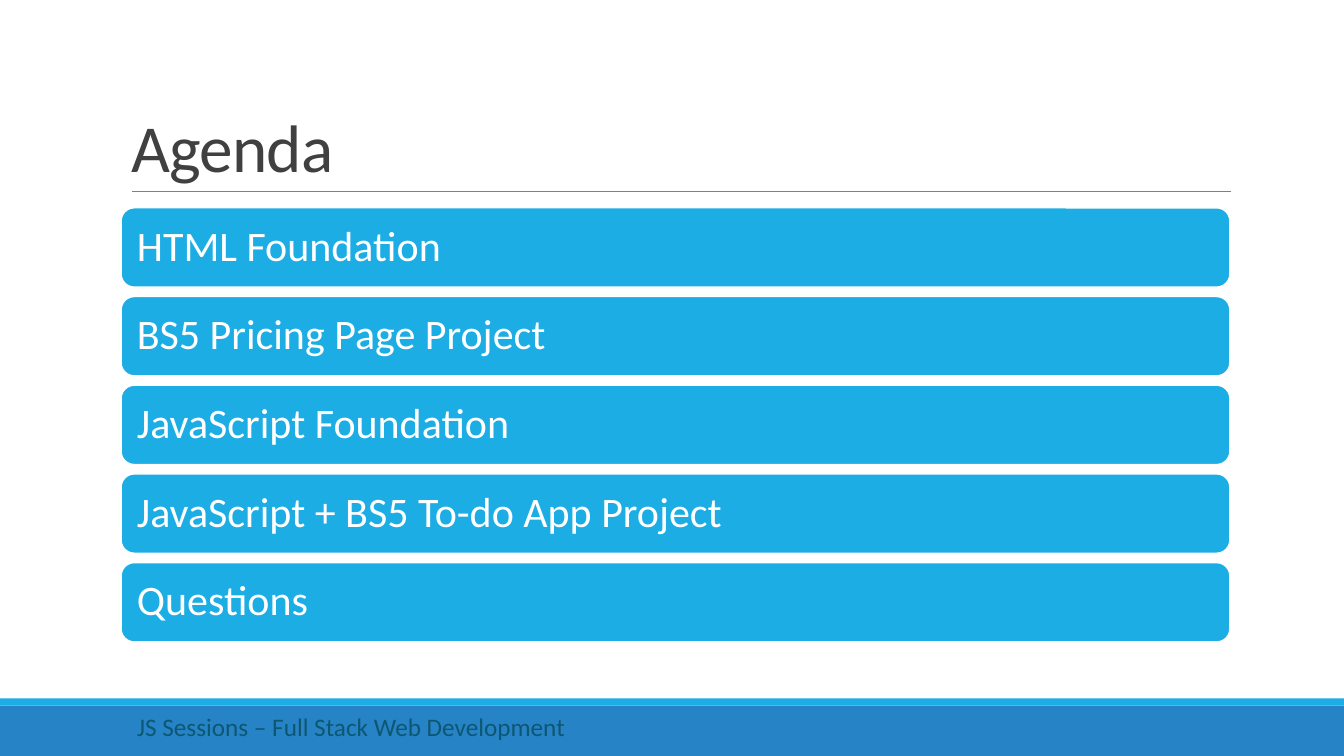
from dataclasses import dataclass

from lxml.etree import SubElement
from pptx import Presentation
from pptx.dml.color import RGBColor
from pptx.enum.shapes import MSO_CONNECTOR as Connector, MSO_SHAPE as Preset
from pptx.enum.text import MSO_ANCHOR as Anchor, PP_ALIGN as Align
from pptx.oxml.ns import qn
from pptx.util import Inches, Pt


@dataclass(frozen=True)
class Theme:
    font: str = "Calibri"
    bar: str = "1CADE4"
    footer: str = "2683C6"
    footer_text: str = "0E5772"
    title_text: str = "404040"
    rule: str = "808080"
    white: str = "FFFFFF"
    title_size: int = 48
    topic_size: int = 30
    footer_size: int = 18


THEME = Theme()
TOPICS = [
    "HTML Foundation",
    "BS5 Pricing Page Project",
    "JavaScript Foundation",
    "JavaScript + BS5 To-do App Project",
    "Questions",
]
LEFT, WIDTH = 1.2, 11
FIRST_TOP, BAR_HEIGHT, PITCH = 2.06, 0.79, 0.88


def color(value):
    return RGBColor.from_string(value)


def add_span(frame, text, size, tint, spacing=None):
    """Write one left-aligned run into the frame's first paragraph."""
    para = frame.paragraphs[0]
    para.alignment = Align.LEFT
    para.line_spacing = spacing
    span = para.add_run()
    span.text = text
    span.font.name = THEME.font
    span.font.size = Pt(size)
    span.font.color.rgb = color(tint)
    return span


def add_block(page, preset, left, top, width, height, fill):
    block = page.shapes.add_shape(
        preset, Inches(left), Inches(top), Inches(width), Inches(height))
    block.shadow.inherit = False
    block.fill.solid()
    block.fill.fore_color.rgb = color(fill)
    block.line.fill.background()
    return block


def add_rule(page, start, end, y):
    rule = page.shapes.add_connector(
        Connector.STRAIGHT, Inches(start), Inches(y), Inches(end), Inches(y))
    rule.line.color.rgb = color(THEME.rule)
    rule.line.width = Pt(0.5)
    SubElement(rule._element.spPr, qn("a:effectLst"))


def set_title(page, text):
    title = page.shapes.title
    title.left, title.top = Inches(LEFT), Inches(0.31)
    title.width, title.height = Inches(WIDTH), Inches(1.59)
    frame = title.text_frame
    frame.vertical_anchor = Anchor.BOTTOM
    span = add_span(frame, text, THEME.title_size, THEME.title_text, 0.85)
    span.font._element.set("spc", "-50")


def add_topic(page, text, top):
    bar = add_block(page, Preset.ROUNDED_RECTANGLE,
                    LEFT, top, WIDTH, BAR_HEIGHT, THEME.bar)
    bar.line.color.rgb = color(THEME.white)
    bar.line.width = Pt(1.25)
    frame = bar.text_frame
    frame.word_wrap = True
    frame.vertical_anchor = Anchor.MIDDLE
    # The preset already insets its text by the corner rounding
    frame.margin_left = frame.margin_right = Inches(0.12)
    frame.margin_top = frame.margin_bottom = Inches(0.05)
    add_span(frame, text, THEME.topic_size, THEME.white, 0.9)


def add_footer_text(page, text):
    box = page.shapes.add_textbox(
        Inches(LEFT), Inches(7.01), Inches(7.78), Inches(0.4))
    box.text_frame.word_wrap = True
    box.text_frame.margin_left = Inches(0.16)
    add_span(box.text_frame, text, THEME.footer_size, THEME.footer_text)


def main():
    deck = Presentation()
    deck.slide_width, deck.slide_height = Inches(13.33), Inches(7.5)
    page = deck.slides.add_slide(deck.slide_layouts[5])

    # Footer bands and title rule
    add_block(page, Preset.RECTANGLE, 0, 7, 13.33, 0.5, THEME.footer)
    add_block(page, Preset.RECTANGLE, 0, 6.93, 13.33, 0.07, THEME.bar)
    add_rule(page, 1.31, 12.21, 1.9)

    # Title and agenda
    set_title(page, "Agenda")
    for index, topic in enumerate(TOPICS):
        add_topic(page, topic, FIRST_TOP + index * PITCH)

    # Footer wording
    add_footer_text(page, "JS Sessions – Full Stack Web Development")
    deck.save("out.pptx")


if __name__ == "__main__":
    main()
